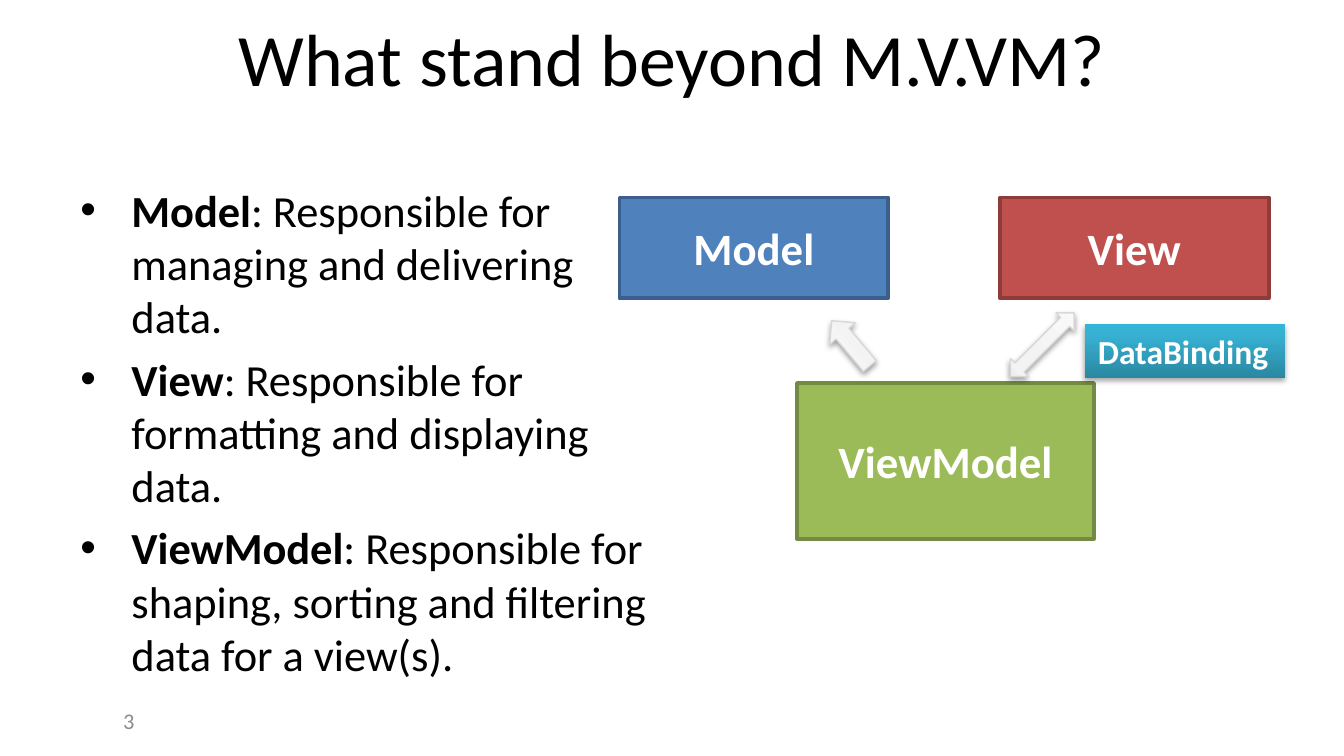
from dataclasses import dataclass

from lxml.etree import SubElement
from pptx import Presentation
from pptx.dml.color import RGBColor
from pptx.enum.shapes import MSO_SHAPE as SHAPE
from pptx.enum.text import MSO_ANCHOR as ANCHOR, MSO_AUTO_SIZE as AUTO, PP_ALIGN as ALIGN
from pptx.oxml.ns import qn
from pptx.util import Emu, Inches, Pt

SLIDE_WIDTH = 10
SLIDE_HEIGHT = SLIDE_WIDTH * 9 / 16
FONT = "Calibri"
COLORS = {
    "text": "000000", "number": "8C8C8C", "white": "FFFFFF",
    "model": "4F81BD", "model_line": "3A5F8C",
    "view": "C0504D", "view_line": "8E3B39",
    "viewmodel": "9BBB59", "viewmodel_line": "738A42",
    "arrow_line": "D8D8D8",
}
ARROW_STOPS = [(0, "EFEFEF"), (35, "F3F3F3"), (100, "FAFAFA")]
BINDING_STOPS = [(0, "2A88A2"), (80, "37B1D2"), (100, "34B4D6")]


@dataclass
class Box:
    label: str
    color: str
    left: float
    top: float
    width: float
    height: float


@dataclass
class Arrow:
    kind: SHAPE
    left: float
    top: float
    width: float
    height: float
    rotation: float


@dataclass
class Role:
    name: str
    duty: str


BOXES = [
    Box("Model", "model", 4.61, 1.47, 2, 0.75),
    Box("View", "view", 7.44, 1.47, 2, 0.75),
    Box("ViewModel", "viewmodel", 5.93, 2.85, 2.21, 1.16),
]
ARROWS = [
    Arrow(SHAPE.RIGHT_ARROW, 6.11, 2.43, 0.44, 0.25, 229.9),
    Arrow(SHAPE.UP_DOWN_ARROW, 7.66, 2.23, 0.19, 0.67, 45),
]
ROLES = [
    Role("Model", "managing and delivering data."),
    Role("View", "formatting and displaying data."),
    Role("ViewModel", "shaping, sorting and filtering data for a view(s)."),
]


def rgb(name: str) -> RGBColor:
    return RGBColor.from_string(COLORS[name])


def inches(*lengths: float) -> list[Emu]:
    return [Inches(n) for n in lengths]


def add_run(p, text: str, size: float, color: str, bold: bool = False) -> None:
    r = p.add_run()
    r.text = text
    r.font.name, r.font.size, r.font.bold = FONT, Pt(size), bold
    r.font.color.rgb = rgb(color)


def add_gradient(s, stops: list[tuple[int, str]]) -> None:
    """Fill the shape from bottom to top with the given percent stops."""
    s.fill.gradient()
    s.fill.gradient_angle = 90
    stop_list = s.element.spPr.find(".//" + qn("a:gsLst"))
    for old in list(stop_list):
        stop_list.remove(old)
    for percent, color in stops:
        stop = SubElement(stop_list, qn("a:gs"), pos=str(percent * 1000))
        SubElement(stop, qn("a:srgbClr"), val=color)


def add_shadow(s, distance: float, alpha: int) -> None:
    s.shadow.inherit = False
    effects = s.element.spPr.find(qn("a:effectLst"))
    shadow = SubElement(effects, qn("a:outerShdw"), blurRad=str(Pt(3.1)),
                        dist=str(Pt(distance)), dir="5400000", rotWithShape="0")
    color = SubElement(shadow, qn("a:srgbClr"), val="000000")
    SubElement(color, qn("a:alpha"), val=str(alpha * 1000))


def add_title(slide, text: str) -> None:
    s = slide.shapes.title
    s.left, s.top, s.width, s.height = inches(0.5, 0.1, 9, 0.65)
    tf = s.text_frame
    tf.auto_size, tf.vertical_anchor = AUTO.NONE, ANCHOR.MIDDLE
    p = tf.paragraphs[0]
    p.alignment = ALIGN.CENTER
    add_run(p, text, 39.6, "text")


def add_roles(slide, roles: list[Role]) -> None:
    tf = slide.shapes.add_textbox(*inches(0.5, 1.31, 4.42, 3.71)).text_frame
    tf.word_wrap = True
    for i, role in enumerate(roles):
        p = tf.add_paragraph() if i else tf.paragraphs[0]
        p.space_before = Pt(4.8)
        pPr = p._p.get_or_add_pPr()
        pPr.set("marL", str(Inches(0.38)))
        pPr.set("indent", str(Inches(-0.38)))
        SubElement(pPr, qn("a:buFont"), typeface="Arial")
        SubElement(pPr, qn("a:buChar"), char="•")
        add_run(p, role.name, 23.8, "text", bold=True)
        add_run(p, f": Responsible for {role.duty}", 23.8, "text")


def add_slide_number(slide, number: int) -> None:
    tf = slide.shapes.add_textbox(*inches(0.67, 5.21, 0.43, 0.3)).text_frame
    tf.word_wrap, tf.vertical_anchor = True, ANCHOR.MIDDLE
    p = tf.paragraphs[0]
    p.alignment = ALIGN.RIGHT
    add_run(p, str(number), 12, "number")


def add_box(slide, box: Box) -> None:
    s = slide.shapes.add_shape(
        SHAPE.RECTANGLE, *inches(box.left, box.top, box.width, box.height))
    s.shadow.inherit = False
    s.fill.solid()
    s.fill.fore_color.rgb = rgb(box.color)
    s.line.color.rgb = rgb(f"{box.color}_line")
    s.line.width = Pt(2)
    tf = s.text_frame
    tf.vertical_anchor = ANCHOR.MIDDLE
    p = tf.paragraphs[0]
    p.alignment = ALIGN.CENTER
    add_run(p, box.label, 24, "white", bold=True)


def add_arrow(slide, arrow: Arrow) -> None:
    s = slide.shapes.add_shape(
        arrow.kind, *inches(arrow.left, arrow.top, arrow.width, arrow.height))
    s.rotation = arrow.rotation
    add_gradient(s, ARROW_STOPS)
    s.line.color.rgb = rgb("arrow_line")
    s.line.width = Pt(0.75)
    add_shadow(s, 1.6, 38)


def add_binding_label(slide, text: str) -> None:
    s = slide.shapes.add_shape(SHAPE.RECTANGLE, *inches(8.07, 2.41, 1.49, 0.4))
    add_gradient(s, BINDING_STOPS)
    s.line.fill.background()
    add_shadow(s, 1.8, 35)
    tf = s.text_frame
    tf.word_wrap, tf.auto_size = False, AUTO.SHAPE_TO_FIT_TEXT
    tf.vertical_anchor = ANCHOR.TOP
    p = tf.paragraphs[0]
    p.alignment = ALIGN.LEFT
    add_run(p, text, 18, "white", bold=True)


def main() -> None:
    prs = Presentation()
    prs.slide_width, prs.slide_height = inches(SLIDE_WIDTH, SLIDE_HEIGHT)
    slide = prs.slides.add_slide(prs.slide_layouts.get_by_name("Title Only"))
    add_title(slide, "What stand beyond M.V.VM?")
    add_roles(slide, ROLES)
    add_slide_number(slide, 3)
    for box in BOXES:
        add_box(slide, box)
    for arrow in ARROWS:
        add_arrow(slide, arrow)
    add_binding_label(slide, "DataBinding")
    prs.save("out.pptx")


if __name__ == "__main__":
    main()
